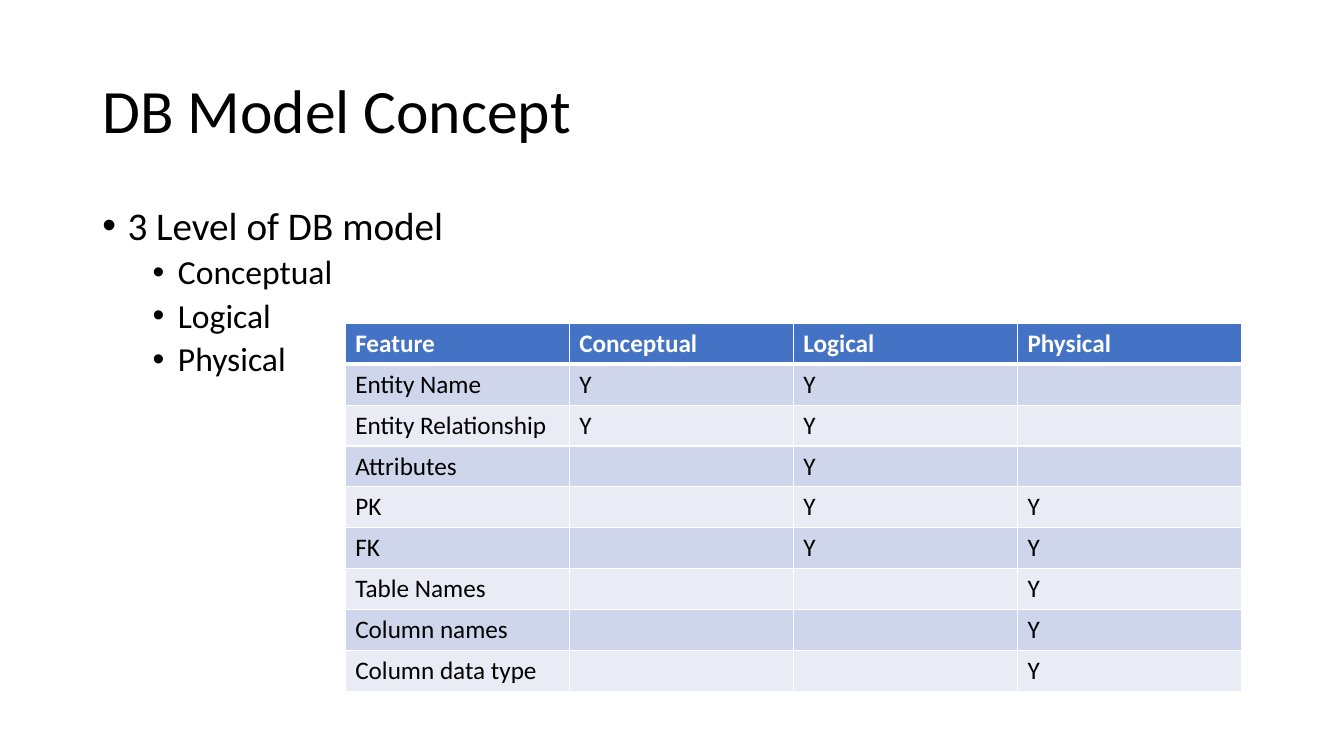
from dataclasses import dataclass

from lxml.etree import SubElement
from pptx import Presentation
from pptx.dml.color import RGBColor
from pptx.enum.text import MSO_ANCHOR
from pptx.oxml.ns import qn
from pptx.util import Emu, Inches, Pt

COLS, ROWS = 160, 90
WIDTH, HEIGHT = Inches(13.333), Inches(7.5)
FONT = "Calibri"
BLACK, WHITE, HEADER = "000000", "FFFFFF", "4472C4"
BANDS = ("E9EBF5", "CFD5EA")
HEADINGS = ("Feature", "Conceptual", "Logical", "Physical")


@dataclass
class Box:
    col: float
    row: float
    cols: float
    rows: float

    def emu(self) -> tuple:
        return (Emu(int(WIDTH * self.col / COLS)), Emu(int(HEIGHT * self.row / ROWS)),
                Emu(int(WIDTH * self.cols / COLS)), Emu(int(HEIGHT * self.rows / ROWS)))


@dataclass
class Line:
    text: str
    size: int
    level: int = 0
    before: int = 0
    bullet: bool = True


@dataclass
class Feature:
    name: str
    levels: str


TITLE = [Line("DB Model Concept", 44, bullet=False)]
BODY = [Line("3 Level of DB model", 28, before=10)]
BODY += [Line(name, 24, 1, 5) for name in HEADINGS[1:]]
FEATURES = [
    Feature("Entity Name", "CL"),
    Feature("Entity Relationship", "CL"),
    Feature("Attributes", "L"),
    Feature("PK", "LP"),
    Feature("FK", "LP"),
    Feature("Table Names", "P"),
    Feature("Column names", "P"),
    Feature("Column data type", "P"),
]


def rgb(color: str) -> RGBColor:
    return RGBColor.from_string(color)


def add_run(p, text: str, size: int, color: str = BLACK, bold: bool = False) -> None:
    r = p.add_run()
    r.text = text
    style = {"name": FONT, "size": Pt(size), "bold": bold}
    for key, value in style.items():
        setattr(r.font, key, value)
    r.font.color.rgb = rgb(color)


def add_bullet(p, level: int) -> None:
    pPr = p._p.get_or_add_pPr()
    pPr.set("marL", str(Inches(0.25 + 0.5 * level)))
    pPr.set("indent", str(-Inches(0.25)))
    SubElement(pPr, qn("a:buFont"), typeface="Arial")
    SubElement(pPr, qn("a:buChar"), char="•")


def add_text(slide, box: Box, lines: list[Line], anchor: MSO_ANCHOR) -> None:
    tf = slide.shapes.add_textbox(*box.emu()).text_frame
    tf.word_wrap = True
    tf.vertical_anchor = anchor
    for i, line in enumerate(lines):
        p = tf.add_paragraph() if i else tf.paragraphs[0]
        layout = {"level": line.level, "line_spacing": 0.9, "space_before": Pt(line.before)}
        for key, value in layout.items():
            setattr(p, key, value)
        if line.bullet:
            add_bullet(p, line.level)
        add_run(p, line.text, line.size)


def set_borders(cell, widths: dict[str, int]) -> None:
    tcPr = cell._tc.get_or_add_tcPr()
    for i, (side, width) in enumerate(widths.items()):
        ln = tcPr.makeelement(qn(f"a:{side}"), {"w": str(Pt(width))})
        SubElement(SubElement(ln, qn("a:solidFill")), qn("a:srgbClr"), val=WHITE)
        tcPr.insert(i, ln)


def add_features(slide, box: Box) -> None:
    rows = [HEADINGS]
    for f in FEATURES:
        rows.append((f.name, *("Y" if h[0] in f.levels else "" for h in HEADINGS[1:])))
    table = slide.shapes.add_table(len(rows), len(HEADINGS), *box.emu()).table
    for i, row in enumerate(rows):
        head = i == 0
        for j, text in enumerate(row):
            cell = table.cell(i, j)
            cell.fill.solid()
            cell.fill.fore_color.rgb = rgb(HEADER if head else BANDS[i % 2])
            set_borders(cell, {"lnL": 1, "lnR": 1, "lnT": 3 if i == 1 else 1,
                               "lnB": 3 if head else 1})
            if text:
                add_run(cell.text_frame.paragraphs[0], text, 18,
                        WHITE if head else BLACK, head)


def main() -> None:
    prs = Presentation()
    prs.slide_width, prs.slide_height = WIDTH, HEIGHT
    slide = prs.slides.add_slide(prs.slide_layouts[6])
    add_text(slide, Box(11, 4.8, 138, 17.4), TITLE, MSO_ANCHOR.MIDDLE)
    add_text(slide, Box(11, 24, 138, 57.1), BODY, MSO_ANCHOR.TOP)
    add_features(slide, Box(41.1, 38.5, 106.7, 43.8))
    prs.save("out.pptx")


if __name__ == "__main__":
    main()
